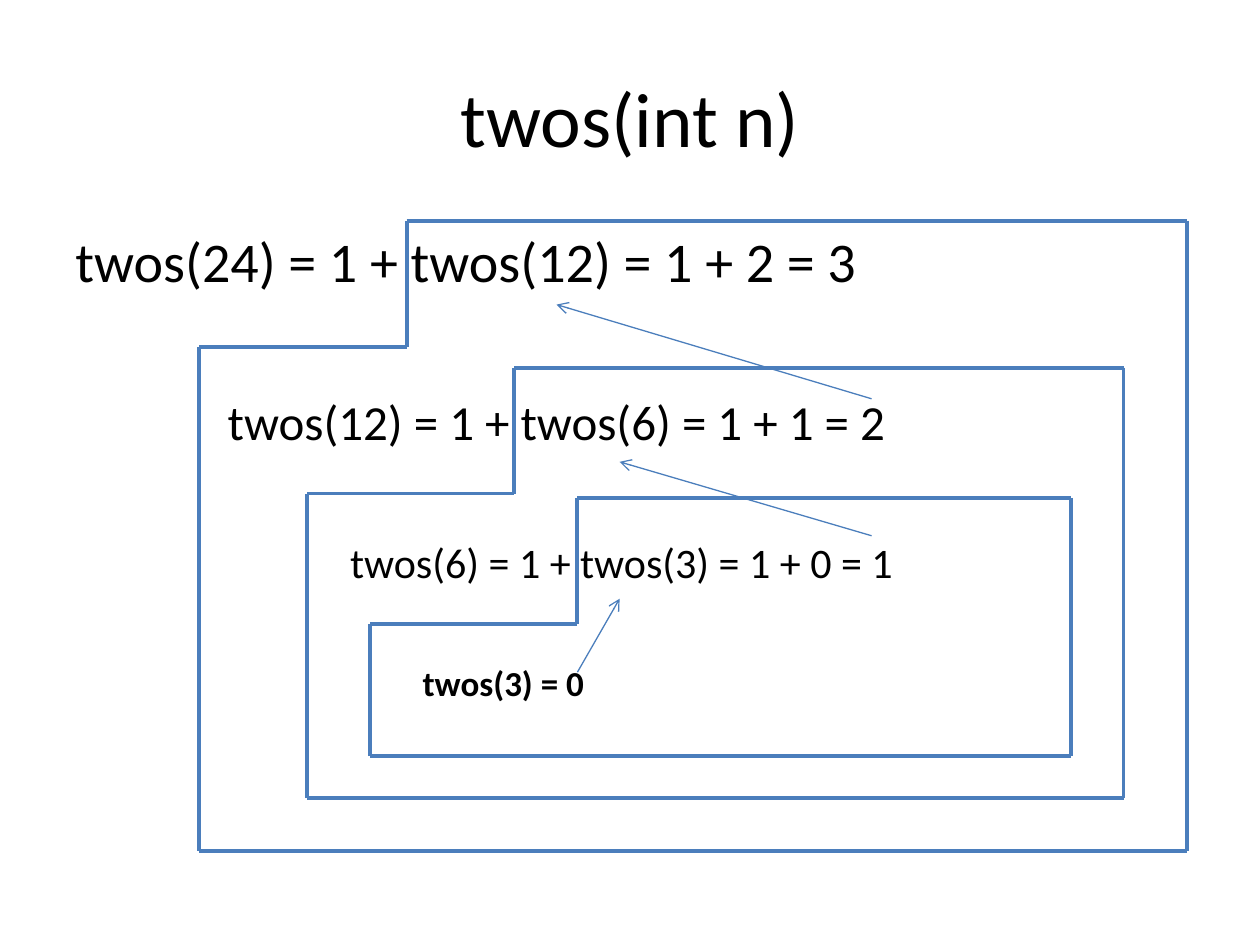
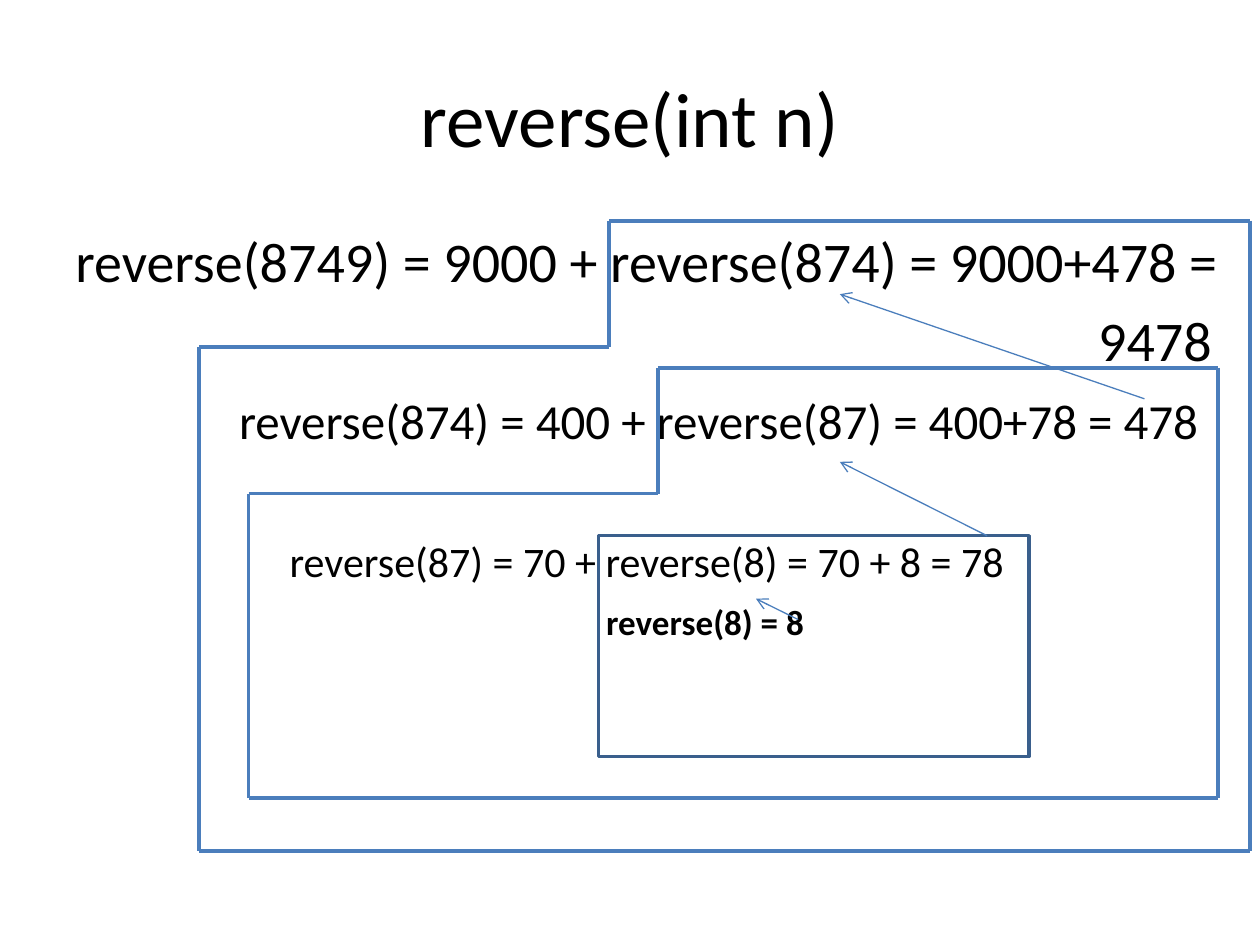
from dataclasses import dataclass
from itertools import pairwise

from pptx import Presentation
from pptx.dml.color import RGBColor
from pptx.enum.shapes import MSO_CONNECTOR, MSO_SHAPE
from pptx.enum.text import MSO_ANCHOR, PP_ALIGN
from pptx.oxml.ns import qn
from pptx.util import Cm, Pt
from lxml.etree import SubElement


@dataclass(frozen=True)
class Theme:
    font: str = "Calibri"
    text: RGBColor = RGBColor(0x00, 0x00, 0x00)
    outline: RGBColor = RGBColor(0x4B, 0x7E, 0xBC)
    box: RGBColor = RGBColor(0x3A, 0x5F, 0x8C)
    title_size: int = 44
    call_sizes: tuple = (32, 28, 24, 20)
    outline_width: float = 2.25
    box_width: float = 2
    arrow_width: float = 0.75
    line_pitch: float = 1.42
    ascent: float = 0.95
    descent: float = 0.27
    notch_height: float = 2.54


class TraceDeck:
    def __init__(self, theme):
        self.theme = theme
        self.presentation = Presentation()
        self.presentation.slide_width = Cm(25.4)
        self.presentation.slide_height = Cm(19.05)
        self.slide = None

    def new_slide(self, title):
        self.slide = self.presentation.slides.add_slide(self.presentation.slide_layouts[6])
        frame = self.text_frame(1.27, 0.76, 22.86, 3.18)
        frame.vertical_anchor = MSO_ANCHOR.MIDDLE
        paragraph = frame.paragraphs[0]
        paragraph.alignment = PP_ALIGN.CENTER
        self.run(paragraph, title, self.theme.title_size)

    def text_frame(self, left, top, width, height):
        shape = self.slide.shapes.add_textbox(Cm(left), Cm(top), Cm(width), Cm(height))
        shape.text_frame.word_wrap = True
        return shape.text_frame

    def run(self, paragraph, text, size, bold=False):
        run = paragraph.add_run()
        run.text = text
        run.font.name = self.theme.font
        run.font.size = Pt(size)
        run.font.bold = bold
        run.font.color.rgb = self.theme.text

    def calls(self, width, rows):
        frame = self.text_frame(1.27, 4.45, width, 12.57)
        theme = self.theme
        previous = None
        for text, level, indent, pitches in rows:
            size = theme.call_sizes[level]
            paragraph = frame.add_paragraph() if previous else frame.paragraphs[0]
            if previous:
                gap = (theme.line_pitch * pitches - theme.descent) * previous - theme.ascent * size
                paragraph.space_before = Pt(round(gap, 1))
            properties = paragraph._p.get_or_add_pPr()
            properties.set("marL", str(Cm(indent)))
            properties.set("indent", "0")
            self.run(paragraph, text, size, bold=level == 3)
            previous = size

    def line(self, start, end, width):
        connector = self.slide.shapes.add_connector(
            MSO_CONNECTOR.STRAIGHT, *(Cm(value) for value in (*start, *end)))
        connector.line.color.rgb = self.theme.outline
        connector.line.width = Pt(width)
        SubElement(connector._element.spPr, qn("a:effectLst"))
        return connector

    def arrow(self, start, end):
        connector = self.line(start, end, self.theme.arrow_width)
        SubElement(connector.line._get_or_add_ln(), qn("a:tailEnd")).set("type", "arrow")

    def notched_outline(self, left, notch, right, top, bottom):
        shoulder = top + self.theme.notch_height
        corners = [(notch, shoulder), (notch, top), (right, top), (right, bottom),
                   (left, bottom), (left, shoulder), (notch, shoulder)]
        for start, end in pairwise(corners):
            self.line(start, end, self.theme.outline_width)

    def box(self, left, top, width, height):
        shape = self.slide.shapes.add_shape(
            MSO_SHAPE.RECTANGLE, Cm(left), Cm(top), Cm(width), Cm(height))
        shape.shadow.inherit = False
        shape.fill.background()
        shape.line.color.rgb = self.theme.box
        shape.line.width = Pt(self.theme.box_width)


deck = TraceDeck(Theme())

deck.new_slide("twos(int n)")
deck.calls(22.86, [
    ("twos(24) = 1 + twos(12) = 1 + 2 = 3", 0, 0, 0),
    ("twos(12) = 1 + twos(6) = 1 + 1 = 2", 1, 3.07, 2),
    ("twos(6) = 1 + twos(3) = 1 + 0 = 1", 2, 5.54, 2),
    ("twos(3) = 0", 3, 7, 2),
])
deck.notched_outline(4.02, 8.2, 23.92, 4.45, 17.15)
deck.notched_outline(6.19, 10.37, 22.65, 7.41, 16.09)
deck.notched_outline(7.46, 11.64, 21.59, 10.04, 15.24)
deck.arrow((11.64, 13.55), (12.49, 12.07))
deck.arrow((17.57, 10.8), (12.49, 9.31))
deck.arrow((17.57, 8.04), (11.22, 6.14))

deck.new_slide("reverse(int n)")
deck.calls(23.93, [
    ("reverse(8749) = 9000 + reverse(874) = 9000+478 =", 0, 0, 0),
    ("9478", 0, 20.62, 1),
    ("reverse(874) = 400 + reverse(87) = 400+78 = 478", 1, 3.3, 1),
    ("reverse(87) = 70 + reverse(8) = 70 + 8 = 78", 2, 4.32, 2),
    ("reverse(8) = 8", 3, 10.7, 1),
])
deck.notched_outline(4.02, 12.28, 25.19, 4.45, 17.15)
deck.notched_outline(5.01, 13.26, 24.55, 7.41, 16.09)
deck.box(12.07, 10.8, 8.68, 4.45)
deck.arrow((16.09, 12.49), (15.24, 12.07))
deck.arrow((19.9, 10.8), (16.93, 9.31))
deck.arrow((23.07, 8.04), (16.93, 5.93))

deck.presentation.save("out.pptx")
